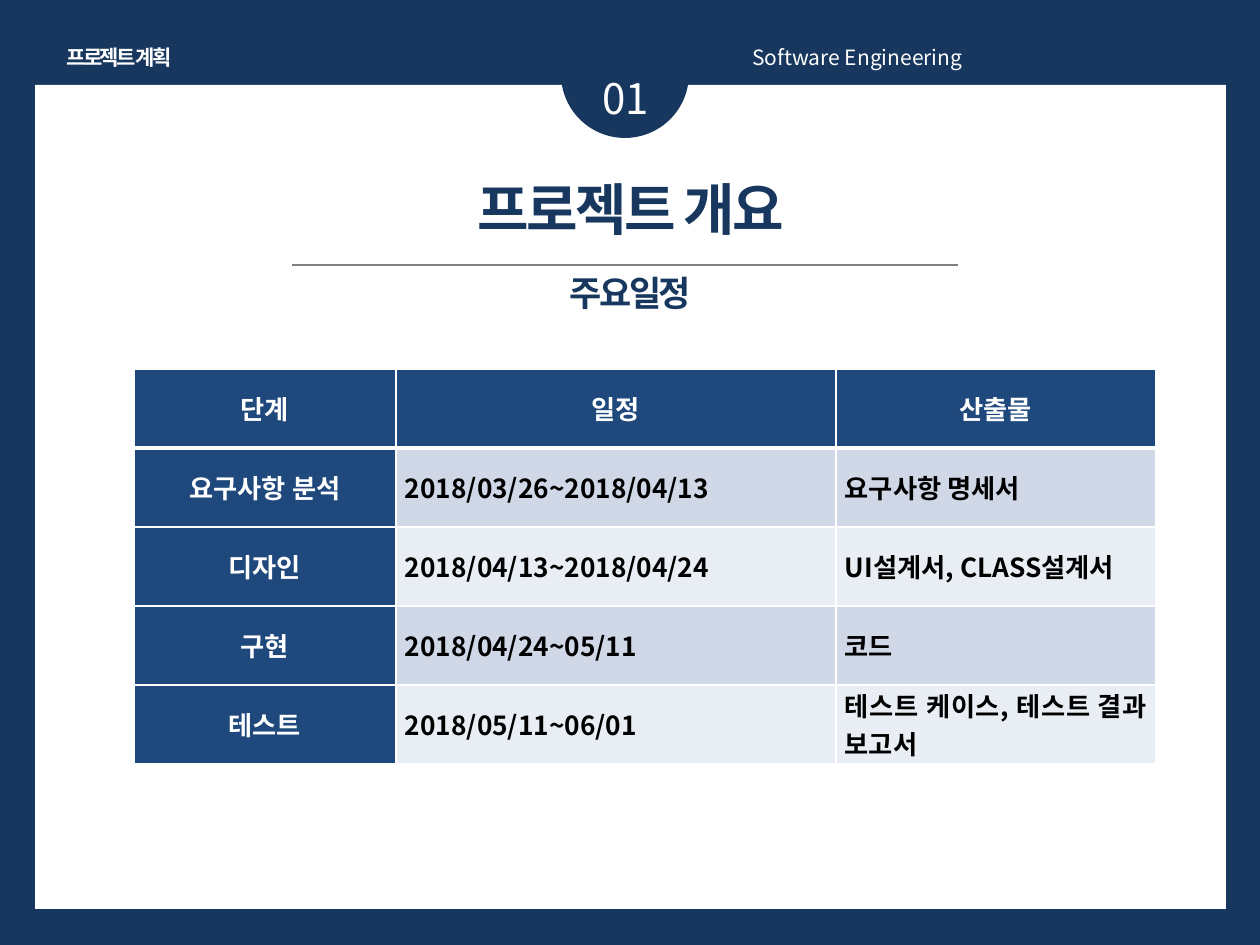
"""Build the project schedule slide."""
from lxml import etree
from pptx import Presentation
from pptx.dml.color import RGBColor
from pptx.enum.shapes import MSO_CONNECTOR, MSO_SHAPE
from pptx.enum.text import MSO_ANCHOR, MSO_AUTO_SIZE, PP_ALIGN
from pptx.oxml.ns import qn
from pptx.util import Pt

PX = 914400 // 126
FONT = "Noto Sans CJK KR"
NAVY = RGBColor(0x17, 0x37, 0x5E)
BLUE = RGBColor(0x1F, 0x49, 0x7D)
BAND_DARK = RGBColor(0xD0, 0xD8, 0xE8)
BAND_LIGHT = RGBColor(0xE9, 0xED, 0xF4)
GRAY = RGBColor(0x80, 0x80, 0x80)
WHITE = RGBColor(0xFF, 0xFF, 0xFF)
BLACK = RGBColor(0x00, 0x00, 0x00)
RECTANGLE, OVAL = MSO_SHAPE.RECTANGLE, MSO_SHAPE.OVAL
STRAIGHT = MSO_CONNECTOR.STRAIGHT
CENTER, JUSTIFY = PP_ALIGN.CENTER, PP_ALIGN.JUSTIFY
TOP, MIDDLE = MSO_ANCHOR.TOP, MSO_ANCHOR.MIDDLE
NO_FIT = MSO_AUTO_SIZE.NONE

SCHEDULE = [
    ("단계", "일정", "산출물"),
    ("요구사항 분석", "2018/03/26~2018/04/13", "요구사항 명세서"),
    ("디자인", "2018/04/13~2018/04/24", "UI설계서, CLASS설계서"),
    ("구현", "2018/04/24~05/11", "코드"),
    ("테스트", "2018/05/11~06/01", "테스트 케이스, 테스트 결과 보고서"),
]


class SlideBuilder:
    """Holds the style and the current slide."""

    def __init__(self, deck):
        self.slide = deck.slides.add_slide(deck.slide_layouts[5])
        self.slide.background.fill.solid()
        self.slide.background.fill.fore_color.rgb = NAVY

    def apply(self, target, values):
        for name, value in values.items():
            setattr(target, name, value)

    def span(self, para, text, size, color, bold=False, align=CENTER, tracking=0):
        para.alignment = align
        span = para.add_run()
        span.text = text
        self.apply(span.font, {"name": FONT, "size": Pt(size), "bold": bold})
        span.font.color.rgb = color
        properties = span._r.get_or_add_rPr()
        etree.SubElement(properties, qn("a:ea"), typeface=FONT)
        if tracking:
            properties.set("spc", str(tracking))

    def shape(self, kind, color, *frame):
        shape = self.slide.shapes.add_shape(kind, *(value * PX for value in frame))
        shape.shadow.inherit = False
        shape.fill.solid()
        shape.fill.fore_color.rgb = color
        shape.line.fill.background()

    def text(self, text, size, *frame, wrap=True, **style):
        box = self.slide.shapes.add_textbox(*(value * PX for value in frame))
        box.text_frame.word_wrap = wrap
        self.span(box.text_frame.paragraphs[0], text, size, WHITE, **style)

    def title(self, lines, left, top, width, height):
        title = self.slide.shapes.title
        title.element.getparent().append(title.element)
        self.apply(title, {"left": left * PX, "top": top * PX,
                           "width": width * PX, "height": height * PX})
        frame = title.text_frame
        self.apply(frame, {"word_wrap": True, "auto_size": NO_FIT, "vertical_anchor": TOP})
        for index, (text, size, gap) in enumerate(lines):
            para = frame.add_paragraph() if index else frame.paragraphs[0]
            para.space_before = Pt(gap)
            self.span(para, text, size, NAVY, bold=True, tracking=-150)

    def line(self, color, width, *ends):
        line = self.slide.shapes.add_connector(STRAIGHT, *(value * PX for value in ends))
        line.line.color.rgb = color
        line.line.width = Pt(width)
        etree.SubElement(line.element.spPr, qn("a:effectLst"))

    def borders(self, cell, widths):
        properties = cell._tc.get_or_add_tcPr()
        for index, (side, width) in enumerate(widths.items()):
            border = etree.Element(qn(f"a:ln{side}"), w=str(Pt(width)))
            fill = etree.SubElement(border, qn("a:solidFill"))
            etree.SubElement(fill, qn("a:srgbClr"), val=str(WHITE))
            properties.insert(index, border)

    def table(self, rows, left, top, widths, row_height):
        frame = self.slide.shapes.add_table(
            len(rows), len(widths), left * PX, top * PX,
            sum(widths) * PX, row_height * len(rows) * PX)
        for column, width in zip(frame.table.columns, widths):
            column.width = width * PX
        for r, row in enumerate(rows):
            for c, text in enumerate(row):
                cell = frame.table.cell(r, c)
                heading = r == 0 or c == 0
                band = BAND_DARK if r % 2 else BAND_LIGHT
                self.apply(cell, {"vertical_anchor": MIDDLE, "margin_left": 9 * PX,
                                  "margin_right": 9 * PX, "margin_top": 0,
                                  "margin_bottom": 0})
                cell.fill.solid()
                cell.fill.fore_color.rgb = BLUE if heading else band
                self.borders(cell, {"L": 1, "R": 1, "T": 3 if r == 1 else 1,
                                    "B": 1 if r else 3})
                self.span(cell.text_frame.paragraphs[0], text, 15,
                          WHITE if heading else BLACK, bold=True,
                          align=CENTER if heading else JUSTIFY)


def main():
    deck = Presentation()
    deck.slide_width, deck.slide_height = 1260 * PX, 945 * PX
    page = SlideBuilder(deck)
    page.shape(RECTANGLE, WHITE, 35, 85, 1191, 824)
    page.shape(OVAL, NAVY, 561, 10, 128, 128)
    page.text("프로젝트 계획", 12, 49, 38, 140, 38, wrap=False, bold=True, tracking=-150)
    page.text("01", 24, 551, 66, 149, 63)
    page.text("Software Engineering", 12, 740, 38, 496, 38, align=JUSTIFY)
    page.table(SCHEDULE, 134, 369, (262, 440, 320), 79)
    page.title([("프로젝트 개요", 32, 0), ("주요일정", 20, 17)], 333, 168, 595, 175)
    page.line(GRAY, 0.75, 292, 265, 958, 265)
    deck.save("out.pptx")


if __name__ == "__main__":
    main()
